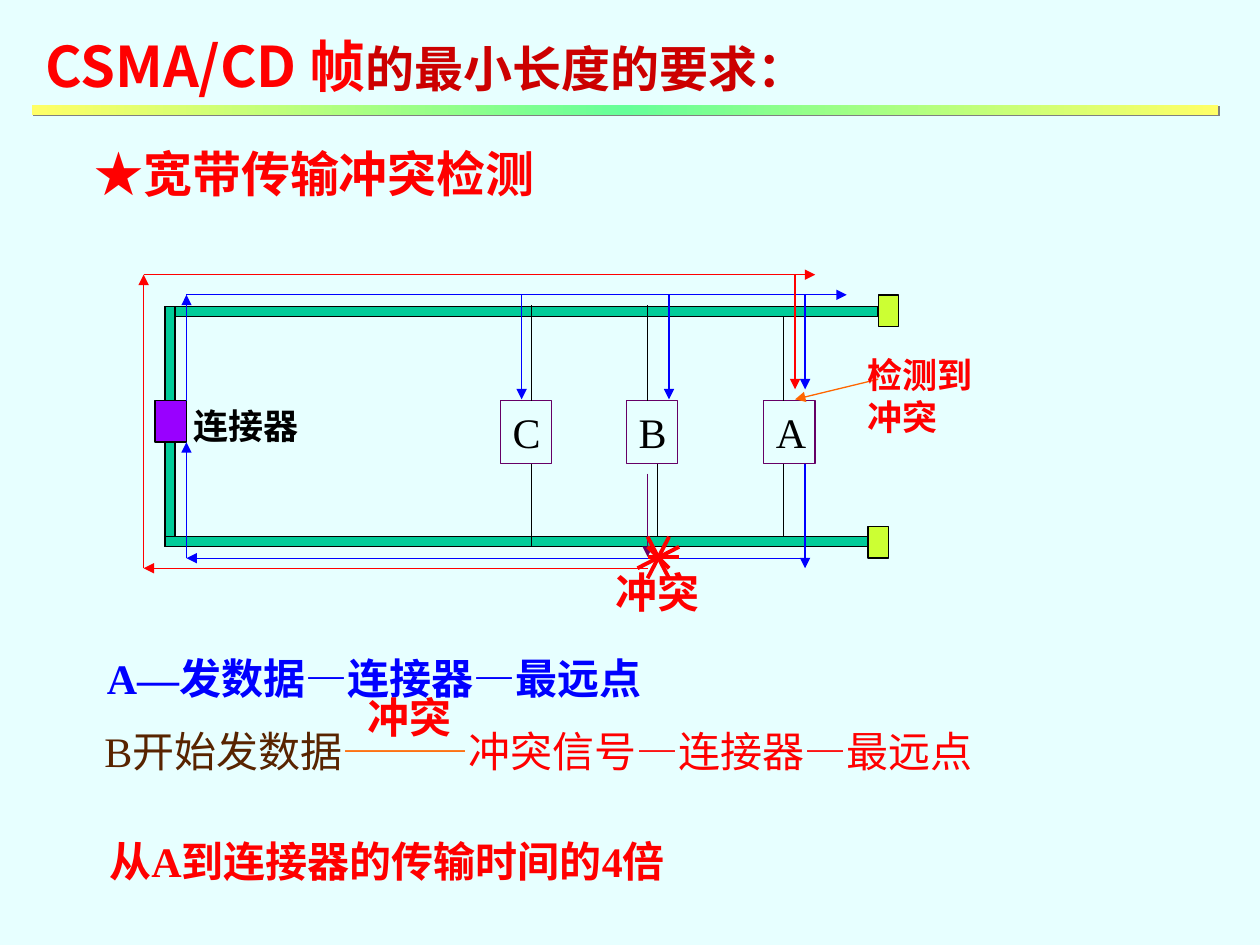
import copy

import pptx
import pptx.dml.color
import pptx.enum.dml
import pptx.enum.shapes
import pptx.enum.text
import pptx.oxml
import pptx.oxml.ns
import pptx.util

RGBColor = pptx.dml.color.RGBColor
Inches = pptx.util.Inches
Pt = pptx.util.Pt
SHAPE = pptx.enum.shapes.MSO_SHAPE
ANCHOR = pptx.enum.text.MSO_ANCHOR

ICE = RGBColor(0xE7, 0xFF, 0xFF)
RED = RGBColor(0xFF, 0x00, 0x00)
DARK_RED = RGBColor(0xCC, 0x00, 0x00)
BLUE = RGBColor(0x00, 0x00, 0xFF)
BLACK = RGBColor(0x00, 0x00, 0x00)
TEAL = RGBColor(0x00, 0xCC, 0x99)
VIOLET = RGBColor(0x99, 0x00, 0xFF)
PLUM = RGBColor(0x66, 0x00, 0x66)
LIME = RGBColor(0xCC, 0xFF, 0x33)
ORANGE = RGBColor(0xFF, 0x66, 0x00)
BROWN = RGBColor(0x58, 0x24, 0x00)
YELLOW = RGBColor(0xFF, 0xFF, 0x66)
MINT = RGBColor(0x66, 0xFF, 0x99)

SANS = "Noto Sans CJK SC"
SERIF = "Times New Roman"


class Board:
    def __init__(self, slide):
        self.slide = slide
        self.line_width = Pt(0.75)

    def fill_text(self, frame, lines, size, font=SERIF, bold=False, wrap=True,
                  anchor=ANCHOR.TOP, spacing=None):
        frame.word_wrap = wrap
        frame.auto_size = pptx.enum.text.MSO_AUTO_SIZE.NONE
        frame.vertical_anchor = anchor
        frame.margin_left = frame.margin_right = Inches(0.1)
        frame.margin_top = frame.margin_bottom = Inches(0.05)
        for index, runs in enumerate(lines):
            paragraph = frame.add_paragraph() if index else frame.paragraphs[0]
            paragraph.alignment = pptx.enum.text.PP_ALIGN.LEFT
            if spacing:
                paragraph.line_spacing = spacing
            paragraph.font.size = Pt(size)
            paragraph.font.name = font
            paragraph.font.bold = bold
            for words, color, *own_size in runs:
                run = paragraph.add_run()
                run.text = words
                run.font.color.rgb = color
                if own_size:
                    run.font.size = Pt(own_size[0])
                east_asian = pptx.oxml.parse_xml(
                    f'<a:ea {pptx.oxml.ns.nsdecls("a")} typeface="{SANS}"/>')
                run.font._element.append(east_asian)

    def title(self, box, runs, size):
        heading = self.slide.shapes.title
        heading.left, heading.top, heading.width, heading.height = map(Inches, box)
        self.fill_text(heading.text_frame, [runs], size, SANS, True, False)

    def text(self, box, lines, size, **style):
        label = self.slide.shapes.add_textbox(*map(Inches, box))
        self.fill_text(label.text_frame, lines, size, **style)

    def shape(self, box, fill=None, line=None, kind=SHAPE.RECTANGLE):
        part = self.slide.shapes.add_shape(kind, *map(Inches, box))
        part.shadow.inherit = False
        if fill is None:
            part.fill.background()
        else:
            part.fill.solid()
            part.fill.fore_color.rgb = fill
        if line is None:
            part.line.fill.background()
        else:
            part.line.color.rgb = line
            part.line.width = self.line_width
        return part

    def station(self, left, name):
        box = self.shape((left, 3.18, 0.41, 0.5), line=PLUM)
        self.fill_text(box.text_frame, [[(name, BLACK)]], 24, anchor=ANCHOR.MIDDLE)

    def callout(self, box, words):
        note = self.shape(box, kind=SHAPE.LINE_CALLOUT_2)
        self.fill_text(note.text_frame, [[(words, RED)]], 24, bold=True, wrap=False)

    def line(self, start, end, color, width=0.75, arrow=False):
        link = self.slide.shapes.add_connector(
            pptx.enum.shapes.MSO_CONNECTOR.STRAIGHT,
            *map(Inches, (*start, *end)))
        link.line.color.rgb = color
        link.line.width = Pt(width)
        namespace = pptx.oxml.ns.nsdecls("a")
        if arrow:
            link.line._get_or_add_ln().append(
                pptx.oxml.parse_xml(f'<a:tailEnd {namespace} type="triangle"/>'))
        link._element.spPr.append(pptx.oxml.parse_xml(f"<a:effectLst {namespace}/>"))

    def rule(self, box):
        bar = self.shape(box, fill=YELLOW)
        bar.fill.gradient()
        bar.fill.gradient_angle = 0
        stop_list = bar._element.spPr.find(".//" + pptx.oxml.ns.qn("a:gsLst"))
        stop_list.append(copy.deepcopy(stop_list[-1]))
        for stop, color, place in zip(bar.fill.gradient_stops,
                                      (YELLOW, MINT, YELLOW), (0, 0.5, 1)):
            stop.color.rgb = color
            stop.position = place
        effects = bar._element.spPr.find(pptx.oxml.ns.qn("a:effectLst"))
        effects.append(pptx.oxml.parse_xml(
            f'<a:outerShdw {pptx.oxml.ns.nsdecls("a")} dist="{Pt(1.4)}" dir="2700000">'
            '<a:srgbClr val="808080"/></a:outerShdw>'))


def draw_network(board):
    for cable in ((1.31, 2.43, 5.66, 0.08), (1.31, 2.43, 0.08, 1.91),
                  (1.31, 4.26, 5.58, 0.08)):
        board.shape(cable, TEAL, BLACK)
    board.shape((1.23, 3.18, 0.25, 0.33), VIOLET, BLACK)
    for terminator in ((6.97, 2.34), (6.89, 4.18)):
        board.shape((*terminator, 0.16, 0.25), LIME, BLACK)
    for left, name in ((3.97, "C"), (4.97, "B"), (6.06, "A")):
        board.station(left, name)
    for upper_x, upper_y, lower_x, lower_y in (
            (4.22, 2.42, 4.22, 4.34), (5.14, 2.42, 5.22, 4.26),
            (6.22, 2.51, 6.22, 4.26)):
        board.line((upper_x, 3.18), (upper_x, upper_y), BLACK)
        board.line((lower_x, 3.68), (lower_x, lower_y), BLACK)


def draw_signals(board):
    signals = {
        BLUE: (((6.39, 3.68), (6.39, 4.51)), ((6.39, 4.43), (1.48, 4.43)),
               ((1.48, 4.43), (1.48, 3.51)), ((1.48, 3.18), (1.48, 2.34)),
               ((1.48, 2.34), (6.72, 2.34)), ((6.39, 2.34), (6.39, 3.09)),
               ((5.31, 2.34), (5.31, 3.17)), ((4.14, 2.34), (4.14, 3.17))),
        PLUM: (((5.14, 3.76), (5.14, 4.42)),),
        RED: (((5.14, 4.51), (1.14, 4.51)), ((1.14, 4.51), (1.14, 2.18)),
              ((1.14, 2.18), (6.47, 2.18)), ((6.31, 2.18), (6.31, 3.09))),
        ORANGE: (((6.97, 3.01), (6.31, 3.17)),),
    }
    for color, routes in signals.items():
        for start, end in routes:
            board.line(start, end, color, arrow=True)
    for start, end in (((5.14, 4.34), (5.31, 4.51)), ((5.14, 4.59), (5.31, 4.26)),
                       ((5.14, 4.42), (5.39, 4.42)), ((5.14, 4.26), (5.31, 4.59)),
                       ((5.06, 4.51), (5.39, 4.34))):
        board.line(start, end, RED, 2.25)


def main():
    deck = pptx.Presentation()
    deck.slide_width, deck.slide_height = Inches(10), Inches(7.5)
    slide = deck.slides.add_slide(deck.slide_layouts[5])
    slide.background.fill.solid()
    slide.background.fill.fore_color.rgb = ICE
    board = Board(slide)

    board.title((0.26, 0.2, 6.41, 0.64),
                [("CSMA/CD 帧", RED), ("的最小长度的要求：", DARK_RED, 28)], 32)
    board.rule((0.25, 0.83, 9.42, 0.08))
    board.text((0.65, 0.9, 3.88, 0.76), [[("★宽带传输冲突检测", RED)]], 28,
               font=SANS, bold=True, spacing=1.4)

    draw_network(board)
    draw_signals(board)
    board.callout((4.79, 4.45, 0.86, 0.5), "冲突")
    board.text((6.79, 2.76, 1.03, 0.77), [[("检测到", RED)], [("冲突", RED)]], 20,
               bold=True, wrap=False)
    board.text((1.44, 3.16, 1.03, 0.44), [[("连接器", BLACK)]], 20,
               bold=True, wrap=False)

    board.text((0.75, 5.13, 4.8, 0.5), [[("A—发数据—连接器—最远点", BLUE)]], 24, bold=True)
    board.text((0.73, 5.71, 7.81, 0.5),
               [[("B开始发数据", BROWN), ("———", ORANGE),
                 ("冲突信号—连接器—最远点", RED)]], 24)
    board.text((2.82, 5.44, 1.24, 0.5), [[("冲突", RED)]], 24, bold=True)
    board.text((0.77, 6.58, 5.02, 0.5), [[("从A到连接器的传输时间的4倍", RED)]], 24, bold=True)
    deck.save("out.pptx")


if __name__ == "__main__":
    main()
